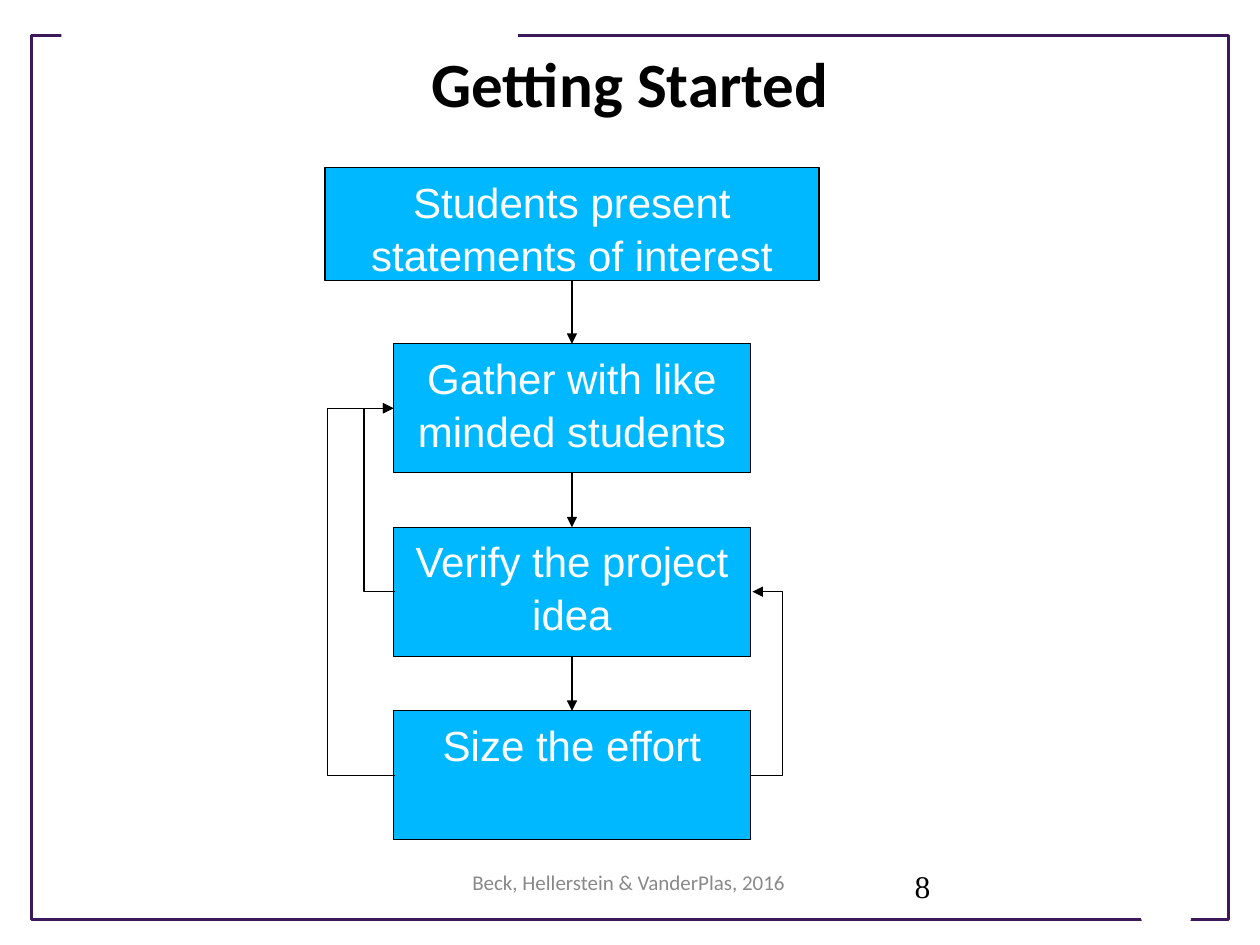
from lxml.etree import SubElement
from pptx import Presentation
from pptx.dml.color import RGBColor
from pptx.enum.shapes import MSO_CONNECTOR as LineKind, MSO_SHAPE as Preset
from pptx.enum.text import MSO_ANCHOR as Anchor, PP_ALIGN as Align
from pptx.oxml.ns import qn
from pptx.util import Cm, Pt

BLACK = RGBColor(0x00, 0x00, 0x00)
WHITE = RGBColor(0xFF, 0xFF, 0xFF)
PURPLE = RGBColor(0x3B, 0x18, 0x5A)
SKY = RGBColor(0x00, 0xB8, 0xFF)
GREY = RGBColor(0x89, 0x89, 0x89)


def write(shape, text, font, size, color, align=Align.CENTER):
    """Put one formatted run at the top of a shape and return its paragraph."""
    frame = shape.text_frame
    frame.word_wrap = True
    frame.vertical_anchor = Anchor.TOP
    para = frame.paragraphs[0]
    para.alignment = align
    span = para.add_run()
    span.text = text
    span.font.name = font
    span.font.size = Pt(size)
    span.font.color.rgb = color
    return para


def add_arrow(kind, x1, y1, x2, y2):
    """Draw a thin black arrow between two points given in centimetres."""
    arrow = page.shapes.add_connector(kind, Cm(x1), Cm(y1), Cm(x2), Cm(y2))
    arrow.line.color.rgb = BLACK
    arrow.line.width = Pt(0.75)
    SubElement(arrow.line._get_or_add_ln(), qn("a:tailEnd"), type="triangle")
    SubElement(arrow._element.spPr, qn("a:effectLst"))
    return arrow


deck = Presentation()
deck.slide_width, deck.slide_height = Cm(25.4), Cm(19.05)
page = deck.slides.add_slide(deck.slide_layouts[5])

# Border with two gaps
border = page.shapes.add_shape(Preset.RECTANGLE, Cm(0.64), Cm(0.71), Cm(24.13), Cm(17.83))
border.fill.background()
border.line.color.rgb = PURPLE
border.line.width = Pt(1.76)
top_gap = page.shapes.add_shape(Preset.RECTANGLE, Cm(1.24), Cm(0.43), Cm(9.2), Cm(0.61))
outline = page.shapes.build_freeform(Cm(22.78), Cm(17.73))
outline.add_line_segments([(Cm(23.04), Cm(18.64)), (Cm(23.98), Cm(18.64)), (Cm(24.21), Cm(17.73))])
bottom_gap = outline.convert_to_shape()
for gap in (top_gap, bottom_gap):
    gap.fill.solid()
    gap.fill.fore_color.rgb = WHITE
    gap.line.fill.background()
for shape in (border, top_gap, bottom_gap):
    shape.shadow.inherit = False

# Title and footer
title = page.shapes.title
title.left, title.top, title.width, title.height = Cm(1.27), Cm(0.76), Cm(22.86), Cm(3.18)
write(title, "Getting Started", "Calibri", 36, BLACK).runs[0].font.bold = True
footer = page.shapes.add_textbox(Cm(8.66), Cm(17.4), Cm(8.03), Cm(1.02))
write(footer, "Beck, Hellerstein & VanderPlas, 2016", "Calibri", 12, GREY)
number = page.shapes.add_textbox(Cm(18.19), Cm(17.35), Cm(3.84), Cm(1.02))
write(number, "8", "Times New Roman", 18, BLACK, Align.LEFT)

# Steps, centred on one axis: text, top, width, height
AXIS = 11.53
STEP_TOP, STEP_PITCH, STEP_WIDTH, STEP_HEIGHT = 6.93, 3.7, 7.2, 2.6
steps = [("Students present statements of interest", 3.38, 9.96, 2.28)]
for index, text in enumerate(("Gather with like minded students",
                              "Verify the project idea", "Size the effort")):
    steps.append((text, STEP_TOP + index * STEP_PITCH, STEP_WIDTH, STEP_HEIGHT))

for text, top, width, height in steps:
    box = page.shapes.add_shape(Preset.RECTANGLE, Cm(AXIS - width / 2), Cm(top), Cm(width), Cm(height))
    box.shadow.inherit = False
    box.fill.solid()
    box.fill.fore_color.rgb = SKY
    box.line.color.rgb = BLACK
    box.line.width = Pt(0.75)
    write(box, text, "Arial", 24, WHITE).line_spacing = 1.05

for (_, top, _, height), (_, next_top, _, _) in zip(steps, steps[1:]):
    add_arrow(LineKind.STRAIGHT, AXIS, top + height, AXIS, next_top)

# Feedback loops: start step, end step, start x, end x, x of the far side
gather, verify, size = [top + height / 2 for _, top, _, height in steps[1:]]
for start, end, x1, x2, far in (
    (verify, gather, 7.97, 7.93, 7.34),
    (size, gather, 7.97, 7.93, 6.6),
    (size, verify, 15.13, 15.17, 15.77),
):
    loop = add_arrow(LineKind.ELBOW, x1, start, x2, end)
    properties = loop._element.spPr
    bend = round((far - x1) / (x2 - x1) * 100000)
    guides = properties.find(qn("a:prstGeom")).get_or_add_avLst()
    SubElement(guides, qn("a:gd"), name="adj1", fmla=f"val {bend}")
    # A half turn stands for flipping both ways
    if x2 < x1:
        xfrm = properties.find(qn("a:xfrm"))
        del xfrm.attrib["flipH"], xfrm.attrib["flipV"]
        xfrm.set("rot", "10800000")

deck.save("out.pptx")
